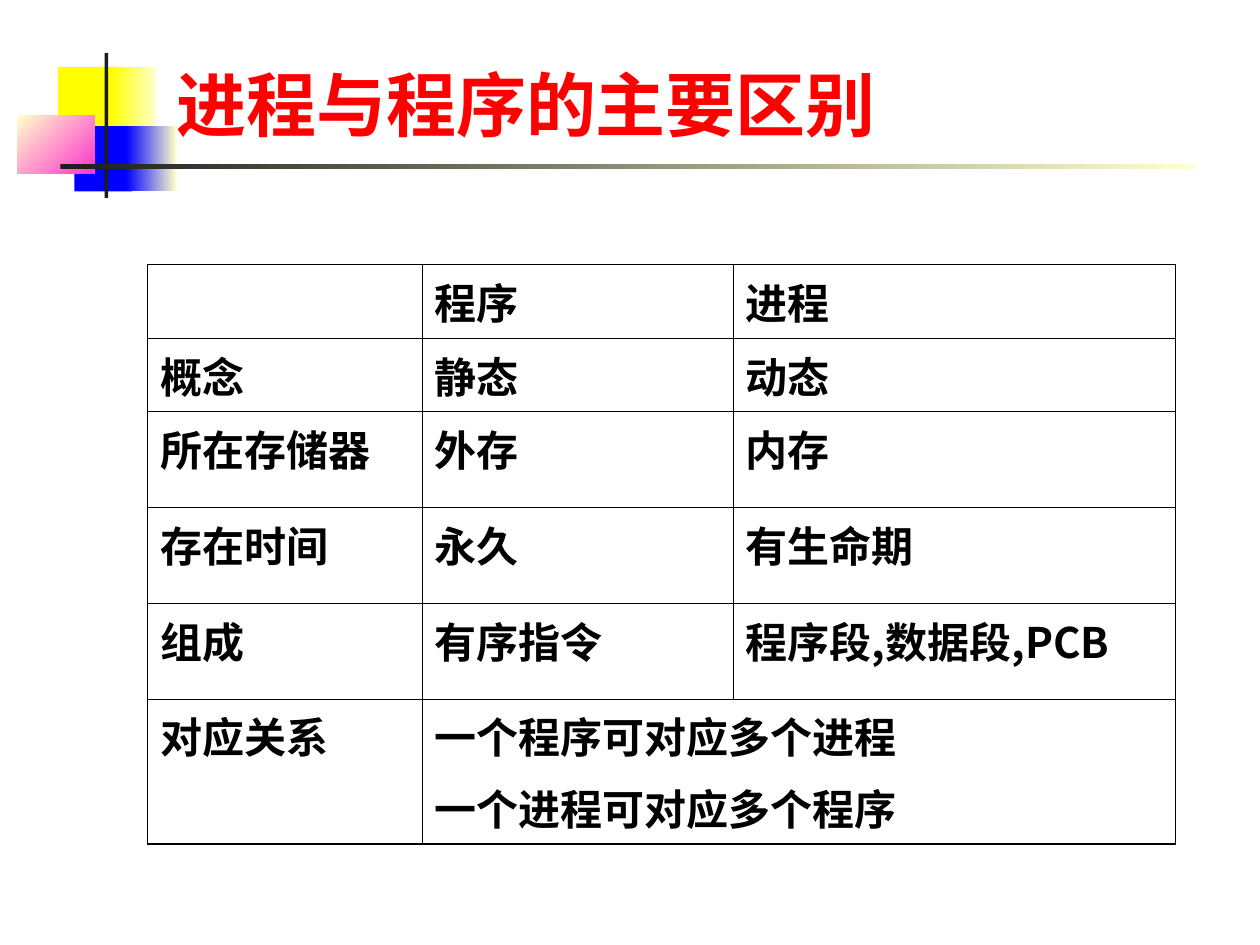
"""Build a slide comparing programs and processes in a ruled table."""
from lxml.etree import SubElement
from pptx import Presentation
from pptx.dml.color import RGBColor
from pptx.enum.shapes import MSO_SHAPE
from pptx.enum.text import MSO_ANCHOR, PP_ALIGN
from pptx.oxml.ns import qn
from pptx.util import Inches, Pt

YELLOW = RGBColor(0xFF, 0xFF, 0x00)
CREAM = RGBColor(0xFF, 0xFF, 0xCC)
BLUE = RGBColor(0x00, 0x00, 0xFF)
PINK = RGBColor(0xFF, 0x33, 0xCC)
DARK = RGBColor(0x1C, 0x1C, 0x1C)
BLACK = RGBColor(0x00, 0x00, 0x00)
RED = RGBColor(0xFF, 0x00, 0x00)
HAN = "Noto Sans CJK SC"

deck = Presentation()
deck.slide_width, deck.slide_height = Inches(10), Inches(7.5)
unit = deck.slide_width / 100
slide = deck.slides.add_slide(deck.slide_layouts[5])


def span(*sizes):
    return [round(size * unit) for size in sizes]


def style(frame, face, size, color):
    for para in frame.paragraphs:
        para.alignment = PP_ALIGN.LEFT
        for run in para.runs:
            font = run.font
            font.name, font.size, font.bold = face, Pt(size), True
            font.color.rgb = color
            SubElement(font._element, qn("a:ea"), typeface=HAN)


blocks = [
    (4.6, 5.3, 4.8, 5.2, YELLOW, YELLOW, 0),
    (8.8, 5.3, 3.6, 5.2, YELLOW, CREAM, 0),
    (5.9, 10, 4.6, 5.2, BLUE, BLUE, 0),
    (10, 10, 4, 5.2, BLUE, CREAM, 0),
    (1.4, 9.2, 6.1, 4.6, CREAM, PINK, 315),
    (8.3, 4.2, 0.3, 11.5, DARK, DARK, 0),
    (4.8, 13, 90, 0.4, DARK, CREAM, 0),
]
for left, top, width, height, start, end, angle in blocks:
    block = slide.shapes.add_shape(
        MSO_SHAPE.RECTANGLE, *span(left, top, width, height))
    block.shadow.inherit = False
    block.line.fill.background()
    if start == end:
        block.fill.solid()
        block.fill.fore_color.rgb = start
    else:
        block.fill.gradient()
        block.fill.gradient_angle = angle
        for stop, color in zip(block.fill.gradient_stops, (start, end)):
            stop.color.rgb = color

title = slide.shapes.title
title.left, title.top, title.width, title.height = span(13, 4.4, 60.8, 7.7)
title.text_frame.text = "进程与程序的主要区别"
title.text_frame.vertical_anchor = MSO_ANCHOR.MIDDLE
style(title.text_frame, "Roboto", 40, RED)

rows = [
    ("", "程序", "进程"),
    ("概念", "静态", "动态"),
    ("所在存储器", "外存", "内存"),
    ("存在时间", "永久", "有生命期"),
    ("组成", "有序指令", "程序段,数据段,PCB"),
    ("对应关系", "一个程序可对应多个进程\n一个进程可对应多个程序", ""),
]
widths = span(21.8, 24.7, 35.1)
heights = span(5.8, 5.8, 7.6, 7.6, 7.6, 11.2)
table = slide.shapes.add_table(
    len(rows), len(widths), *span(11.7, 21), sum(widths), sum(heights)).table
table.first_row = table.horz_banding = False
for col, width in zip(table.columns, widths):
    col.width = width
for row, height in zip(table.rows, heights):
    row.height = height
table.cell(5, 1).merge(table.cell(5, 2))

for r, row in enumerate(rows):
    for c, words in enumerate(row):
        cell = table.cell(r, c)
        right = c == 2 or (r == 5 and c == 1)
        edges = {"L": c == 0, "R": right, "T": r == 0, "B": r == 5}
        props = cell._tc.get_or_add_tcPr()
        for side, outer in edges.items():
            line = SubElement(props, qn("a:ln" + side),
                              w=str(Pt(1.08 if outer else 0.45)))
            paint = SubElement(line, qn("a:solidFill"))
            SubElement(paint, qn("a:srgbClr"), val=str(BLACK))
        cell.fill.background()
        if words:
            cell.text_frame.text = words
            style(cell.text_frame, HAN, 24, BLACK)
            for para in cell.text_frame.paragraphs[1:]:
                para.space_before = Pt(6)

deck.save("out.pptx")
